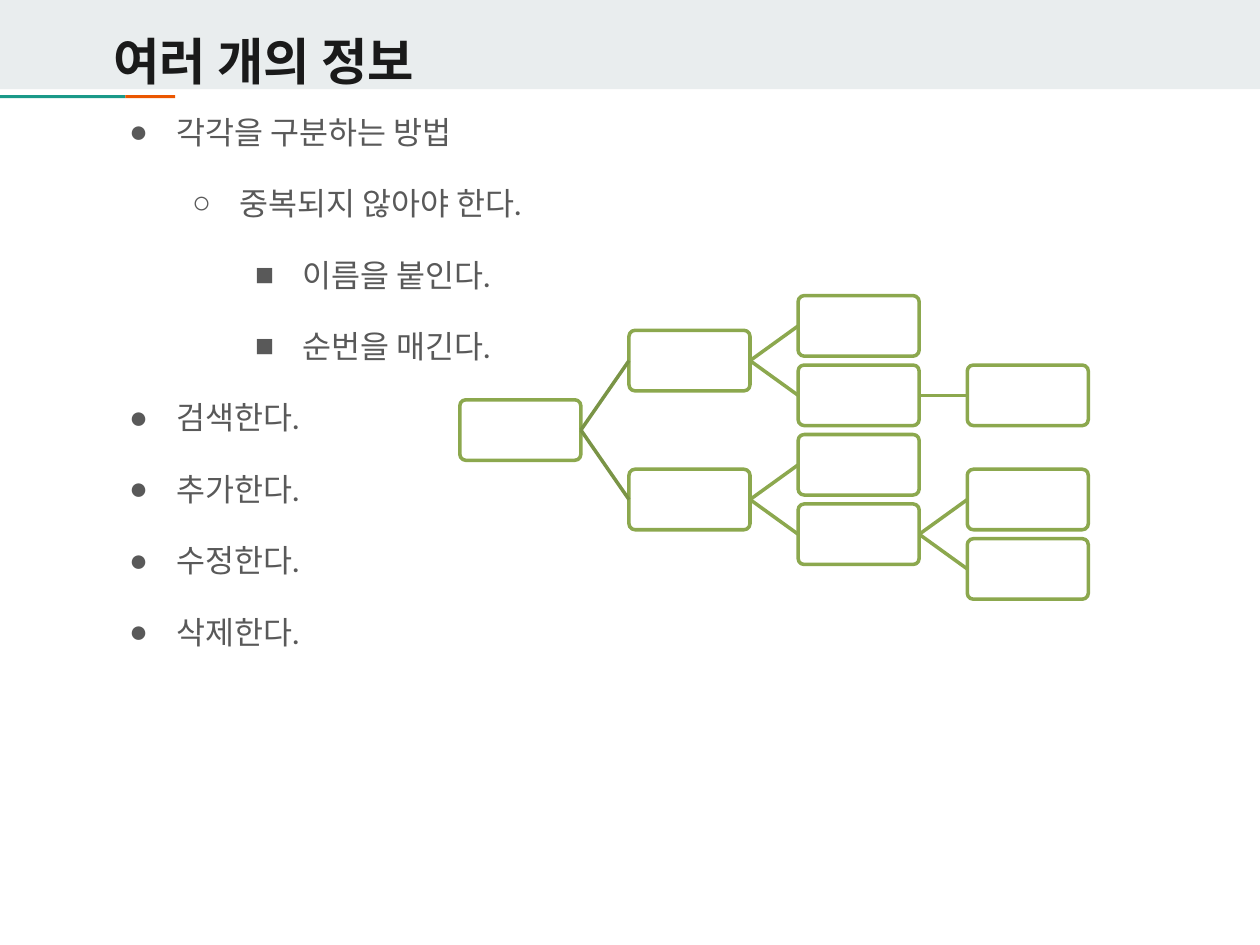
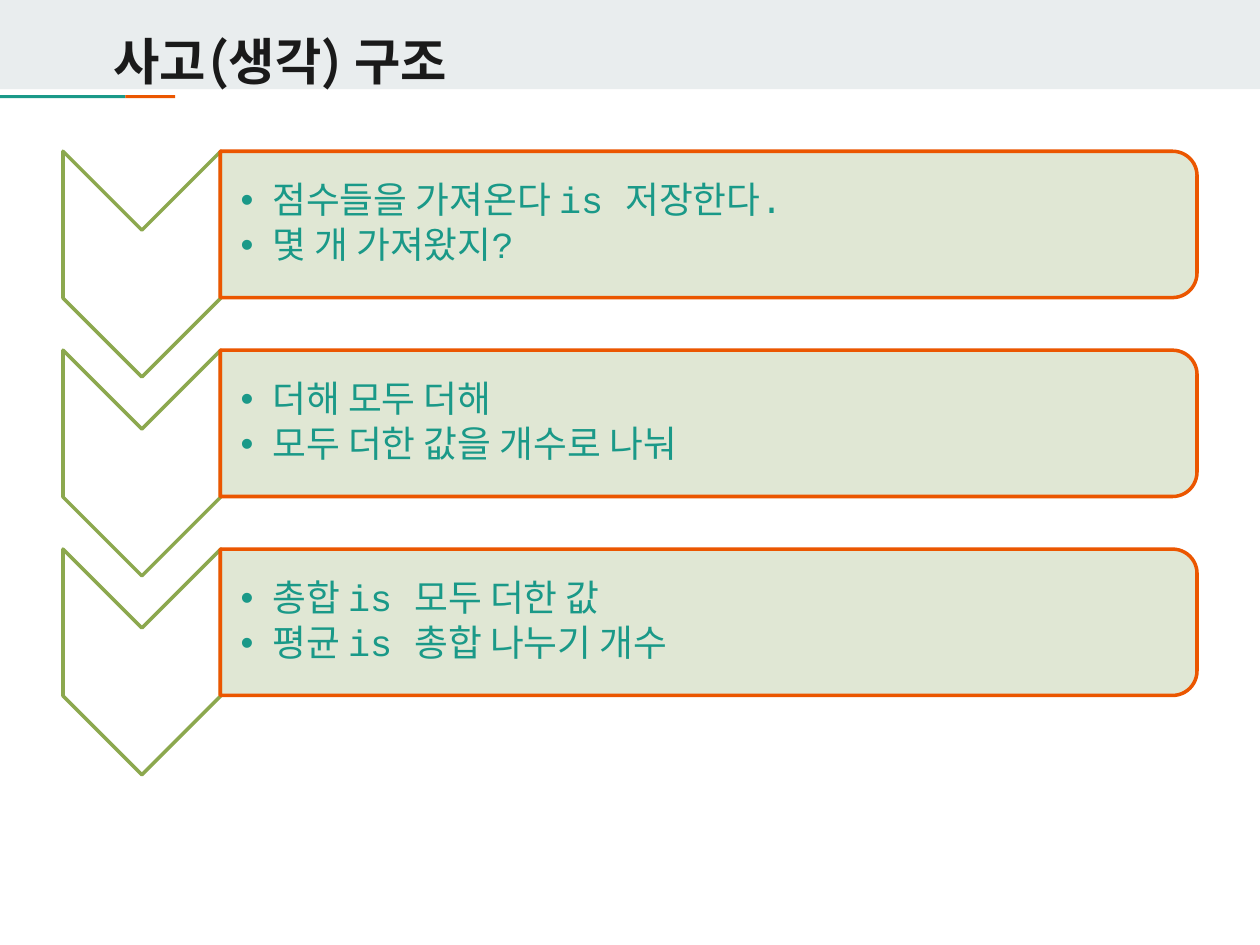
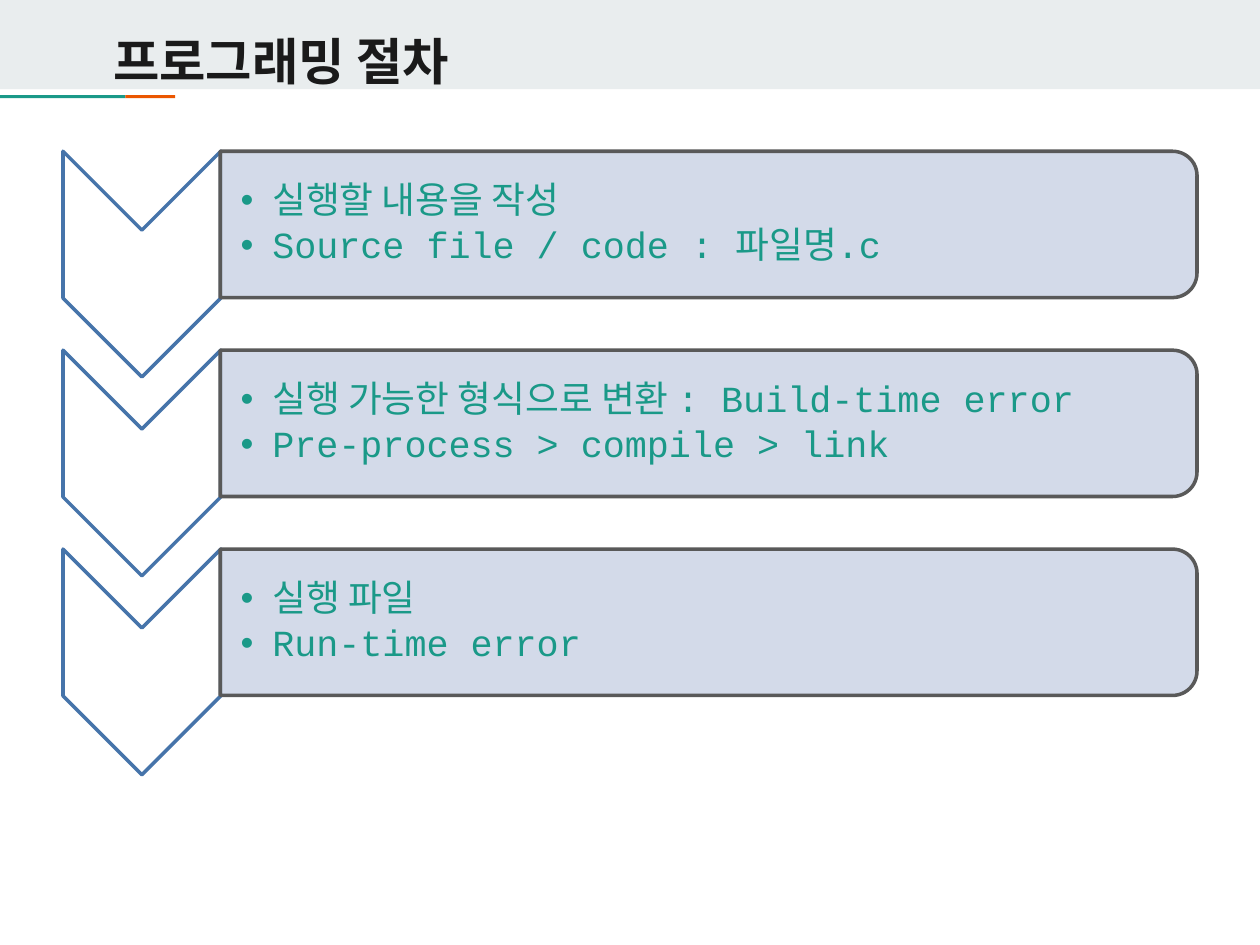
from dataclasses import dataclass

from lxml import etree
from pptx import Presentation
from pptx.dml.color import RGBColor
from pptx.enum.shapes import MSO_CONNECTOR, MSO_SHAPE
from pptx.enum.text import MSO_ANCHOR, MSO_AUTO_SIZE, PP_ALIGN
from pptx.oxml.ns import qn
from pptx.presentation import Presentation as Deck
from pptx.shapes.autoshape import Shape
from pptx.slide import Slide
from pptx.text.text import _Paragraph as Paragraph
from pptx.util import Cm, Pt

RECTANGLE = MSO_SHAPE.RECTANGLE
ROUNDED = MSO_SHAPE.ROUNDED_RECTANGLE
CHEVRON = MSO_SHAPE.CHEVRON
ROUNDED_TOP = MSO_SHAPE.ROUND_2_SAME_RECTANGLE
STRAIGHT = MSO_CONNECTOR.STRAIGHT
MIDDLE = MSO_ANCHOR.MIDDLE
NO_AUTOFIT = MSO_AUTO_SIZE.NONE
LEFT = PP_ALIGN.LEFT

LEFT_SIDE, RIGHT_SIDE = 1, 3
TITLE_AND_BODY, TITLE_ONLY = 1, 5

COLORS = {
    "white": "FFFFFF",
    "band": "E9EDEE",
    "teal": "1A9988",
    "orange": "EB5600",
    "title": "1A1A1A",
    "gray": "595959",
    "green": "8CA84E",
    "dark_green": "7A9446",
    "blue": "4674AA",
    "pale_green": "DDE5D0",
    "pale_blue": "CFD7E7",
}
BULLETS = ("●", "○", "■")
LINE_WIDTH = Pt(2)


@dataclass(frozen=True)
class Box:
    left: float
    top: float
    width: float
    height: float

    def turned(self) -> "Box":
        shift = (self.width - self.height) / 2
        return Box(self.left + shift, self.top - shift, self.height, self.width)

    def lengths(self) -> tuple[Cm, Cm, Cm, Cm]:
        return Cm(self.left), Cm(self.top), Cm(self.width), Cm(self.height)


@dataclass(frozen=True)
class Item:
    text: str
    level: int = 0


@dataclass(frozen=True)
class Node:
    column: int
    row: int
    parent: int | None = None


@dataclass(frozen=True)
class StepStyle:
    chevron_line: str
    panel_fill: str
    panel_line: str


ITEMS = (
    Item("각각을 구분하는 방법"),
    Item("중복되지 않아야 한다.", 1),
    Item("이름을 붙인다.", 2),
    Item("순번을 매긴다.", 2),
    Item("검색한다."),
    Item("추가한다."),
    Item("수정한다."),
    Item("삭제한다."),
)
NODES = (
    Node(0, 3),
    Node(1, 1, 0),
    Node(2, 0, 1),
    Node(2, 2, 1),
    Node(3, 2, 3),
    Node(1, 5, 0),
    Node(2, 4, 5),
    Node(2, 6, 5),
    Node(3, 5, 7),
    Node(3, 7, 7),
)
THINKING_STEPS = (
    ("점수들을 가져온다 is 저장한다.", "몇 개 가져왔지?"),
    ("더해 모두 더해", "모두 더한 값을 개수로 나눠"),
    ("총합 is 모두 더한 값", "평균 is 총합 나누기 개수"),
)
PROGRAMMING_STEPS = (
    ("실행할 내용을 작성", "Source file / code : 파일명.c"),
    ("실행 가능한 형식으로 변환 : Build-time error", "Pre-process > compile > link"),
    ("실행 파일", "Run-time error"),
)
THINKING_STYLE = StepStyle("green", "pale_green", "orange")
PROGRAMMING_STYLE = StepStyle("blue", "pale_blue", "gray")


def color(name: str) -> RGBColor:
    return RGBColor.from_string(COLORS[name])


def place(shape: Shape, box: Box) -> None:
    shape.left, shape.top, shape.width, shape.height = box.lengths()


def set_font(paragraph: Paragraph, name: str, size: float, color_name: str, bold: bool = False) -> None:
    font = paragraph.font
    font.name = name
    font.size = Pt(size)
    font.bold = bold
    font.color.rgb = color(color_name)


def set_bullet(paragraph: Paragraph, character: str, color_name: str, margin: float, hanging: float) -> None:
    properties = paragraph._p.get_or_add_pPr()
    properties.set("marL", str(Cm(margin)))
    properties.set("indent", str(-Cm(hanging)))
    bullet_color = etree.SubElement(properties, qn("a:buClr"))
    etree.SubElement(bullet_color, qn("a:srgbClr"), val=COLORS[color_name])
    etree.SubElement(properties, qn("a:buFont"), typeface="Arial")
    etree.SubElement(properties, qn("a:buChar"), char=character)


def add_box(slide: Slide, kind: MSO_SHAPE, box: Box, fill: str, line: str | None = None) -> Shape:
    shape = slide.shapes.add_shape(kind, *box.lengths())
    shape.shadow.inherit = False
    shape.fill.solid()
    shape.fill.fore_color.rgb = color(fill)
    if line:
        shape.line.color.rgb = color(line)
        shape.line.width = LINE_WIDTH
    else:
        shape.line.fill.background()
    return shape


def move_bands_to_master(presentation: Deck, slide: Slide) -> None:
    bands = (
        (Box(0, 0, 25.4, 1.8), "band"),
        (Box(0, 1.92, 2.53, 0.06), "teal"),
        (Box(2.53, 1.92, 1, 0.06), "orange"),
    )
    tree = presentation.slide_master.placeholders[0].element.getparent()
    for index, (box, fill) in enumerate(bands):
        element = add_box(slide, RECTANGLE, box, fill).element
        element.xpath(".//p:cNvPr")[0].set("id", str(100 + index))
        tree.insert(2 + index, element)


def add_titled_slide(presentation: Deck, layout: int, text: str) -> Slide:
    slide = presentation.slides.add_slide(presentation.slide_layouts[layout])
    title = slide.shapes.title
    place(title, Box(2.03, 0.23, 21.36, 1.98))
    frame = title.text_frame
    frame.text = text
    frame.auto_size = NO_AUTOFIT
    frame.vertical_anchor = MIDDLE
    paragraph = frame.paragraphs[0]
    paragraph.alignment = LEFT
    set_font(paragraph, "Manrope", 28.8, "title", bold=True)
    return slide


def fill_body(slide: Slide) -> None:
    body = slide.placeholders[1]
    place(body, Box(2.03, 2.03, 21.69, 14.02))
    frame = body.text_frame
    frame.text = "\n".join(item.text for item in ITEMS)
    frame.auto_size = NO_AUTOFIT
    for index, (item, paragraph) in enumerate(zip(ITEMS, frame.paragraphs)):
        paragraph.level = item.level
        set_bullet(paragraph, BULLETS[item.level], "gray", 1.27 * (item.level + 1), 0.95)
        paragraph.line_spacing = 1.15
        paragraph.space_before = Pt(16 if index else 0)
        paragraph.space_after = Pt(0)
        set_font(paragraph, "Lato", 18, "gray")
    frame.paragraphs[-1].space_after = Pt(16)


def add_branch(slide: Slide, parent: Shape, child: Shape, line: str) -> None:
    connector = slide.shapes.add_connector(STRAIGHT, 0, 0, 0, 0)
    connector.begin_connect(parent, RIGHT_SIDE)
    connector.end_connect(child, LEFT_SIDE)
    connector.line.color.rgb = color(line)
    connector.line.width = LINE_WIDTH
    etree.SubElement(connector.element.spPr, qn("a:effectLst"))


def add_tree(slide: Slide) -> None:
    boxes: list[Shape] = []
    for node in NODES:
        position = Box(9.27 + 3.41 * node.column, 5.96 + 0.7 * node.row, 2.44, 1.22)
        box = add_box(slide, ROUNDED, position, "white", "green")
        box.adjustments[0] = 0.1
        boxes.append(box)
        if node.parent is not None:
            line = "dark_green" if node.parent == 0 else "green"
            add_branch(slide, boxes[node.parent], box, line)


def add_step(slide: Slide, top: float, lines: tuple[str, ...], style: StepStyle) -> None:
    chevron = add_box(slide, CHEVRON, Box(1.27, top, 3.18, 4.55).turned(), "white", style.chevron_line)
    chevron.rotation = 90
    chevron.adjustments[0] = 0.5

    panel_box = Box(4.44, top, 19.69, 2.95).turned()
    panel = add_box(slide, ROUNDED_TOP, panel_box, style.panel_fill, style.panel_line)
    panel.rotation = 90
    panel.adjustments[0] = 0.167
    panel.adjustments[1] = 0
    fill_color = panel.element.spPr.find(qn("a:solidFill")).find(qn("a:srgbClr"))
    etree.SubElement(fill_color, qn("a:alpha"), val="90000")

    text_box = slide.shapes.add_textbox(*Box(4.44, top + 0.14, 19.53, 2.67).lengths())
    frame = text_box.text_frame
    frame.word_wrap = True
    frame.vertical_anchor = MIDDLE
    frame.margin_left = Cm(0.41)
    frame.margin_top = frame.margin_right = frame.margin_bottom = Cm(0.03)
    frame.text = "\n".join(lines)
    for index, paragraph in enumerate(frame.paragraphs):
        paragraph.level = 1
        paragraph.alignment = LEFT
        set_bullet(paragraph, "•", "teal", 0.64, 0.64)
        paragraph.line_spacing = 0.9
        paragraph.space_before = Pt(3.1 if index else 0)
        set_font(paragraph, "Courier New", 21, "teal")


def add_steps_slide(
    presentation: Deck, title: str, steps: tuple[tuple[str, ...], ...], style: StepStyle
) -> None:
    slide = add_titled_slide(presentation, TITLE_ONLY, title)
    for index, lines in enumerate(steps):
        add_step(slide, 3.05 + 4.01 * index, lines, style)


def main() -> None:
    presentation = Presentation()
    presentation.slide_width = Cm(25.4)
    presentation.slide_height = Cm(19.05)

    slide = add_titled_slide(presentation, TITLE_AND_BODY, "여러 개의 정보")
    move_bands_to_master(presentation, slide)
    fill_body(slide)
    add_tree(slide)

    add_steps_slide(presentation, "사고(생각) 구조", THINKING_STEPS, THINKING_STYLE)
    add_steps_slide(presentation, "프로그래밍 절차", PROGRAMMING_STEPS, PROGRAMMING_STYLE)
    presentation.save("out.pptx")


if __name__ == "__main__":
    main()
